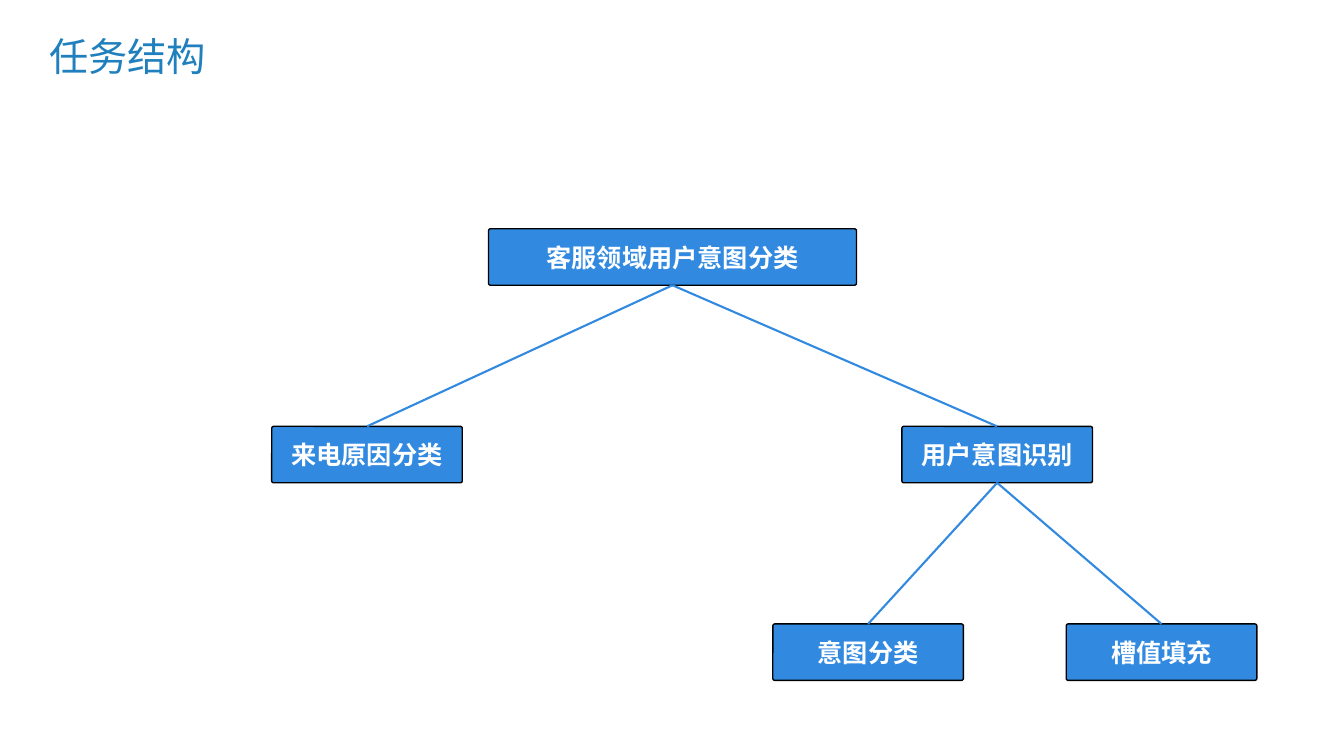
from lxml.etree import SubElement
from pptx import Presentation
from pptx.dml.color import RGBColor as RGB
from pptx.enum.shapes import MSO_CONNECTOR as LINE, MSO_SHAPE as SHAPE
from pptx.enum.text import MSO_ANCHOR as ANCHOR, PP_ALIGN as ALIGN
from pptx.oxml.ns import qn
from pptx.util import Inches, Pt

FONT = "Noto Sans CJK SC"
COLORS = {"title": "2080BD", "node": "328AE0", "border": "000000", "label": "FFFFFF"}

# Tree grid: equally spaced levels, nodes placed by their centre
TOP_LEVEL, LEVEL_STEP = 2.27, 1.96
NODE_HEIGHT, NODE_WIDTH, ROOT_WIDTH = 0.56, 1.89, 3.65
BOTTOM, TOP = 2, 0

# label: (centre x, level, width, parent label)
TASKS = {
    "客服领域用户意图分类": (6.67, 0, ROOT_WIDTH, None),
    "来电原因分类": (3.64, 1, NODE_WIDTH, "客服领域用户意图分类"),
    "用户意图识别": (9.89, 1, NODE_WIDTH, "客服领域用户意图分类"),
    "意图分类": (8.61, 2, NODE_WIDTH, "用户意图识别"),
    "槽值填充": (11.52, 2, NODE_WIDTH, "用户意图识别"),
}


def color(name):
    return RGB.from_string(COLORS[name])


def write(frame, text, size, color_name, bold=False):
    frame.text = text
    frame.word_wrap = True
    frame.vertical_anchor = ANCHOR.MIDDLE
    paragraph = frame.paragraphs[0]
    run = paragraph.runs[0]
    run.font.size, run.font.bold, run.font.name = Pt(size), bold, FONT
    run.font.color.rgb = color(color_name)
    SubElement(run._r.get_or_add_rPr(), qn("a:ea"), typeface=FONT)
    return paragraph


def add_title(slide, text):
    title = slide.shapes.add_textbox(Inches(0.39), Inches(0.29), Inches(11.5), Inches(0.59))
    write(title.text_frame, text, 28, "title").line_spacing = 0.9


def add_node(slide, label, center, level, width):
    node = slide.shapes.add_shape(
        SHAPE.ROUNDED_RECTANGLE,
        Inches(center - width / 2), Inches(TOP_LEVEL + level * LEVEL_STEP),
        Inches(width), Inches(NODE_HEIGHT))
    node.adjustments[0] = 0.035
    node.shadow.inherit = False
    node.fill.solid()
    node.fill.fore_color.rgb = color("node")
    node.line.color.rgb = color("border")
    node.line.width = Pt(1)
    write(node.text_frame, label, 18, "label", bold=True).alignment = ALIGN.CENTER
    return node


def add_branch(slide, parent, child):
    branch = slide.shapes.add_connector(LINE.STRAIGHT, 0, 0, 0, 0)
    branch.begin_connect(parent, BOTTOM)
    branch.end_connect(child, TOP)
    branch.line.color.rgb = color("node")
    branch.line.width = Pt(1.5)
    SubElement(branch._element.spPr, qn("a:effectLst"))


def main():
    deck = Presentation()
    deck.slide_width, deck.slide_height = Inches(13.33), Inches(7.5)
    slide = deck.slides.add_slide(deck.slide_layouts[6])

    add_title(slide, "任务结构")

    # Task boxes
    nodes = {label: add_node(slide, label, center, level, width)
             for label, (center, level, width, _) in TASKS.items()}

    # Branches from each parent to its children
    for label, (_, _, _, parent) in TASKS.items():
        if parent:
            add_branch(slide, nodes[parent], nodes[label])

    deck.save("out.pptx")


if __name__ == "__main__":
    main()
